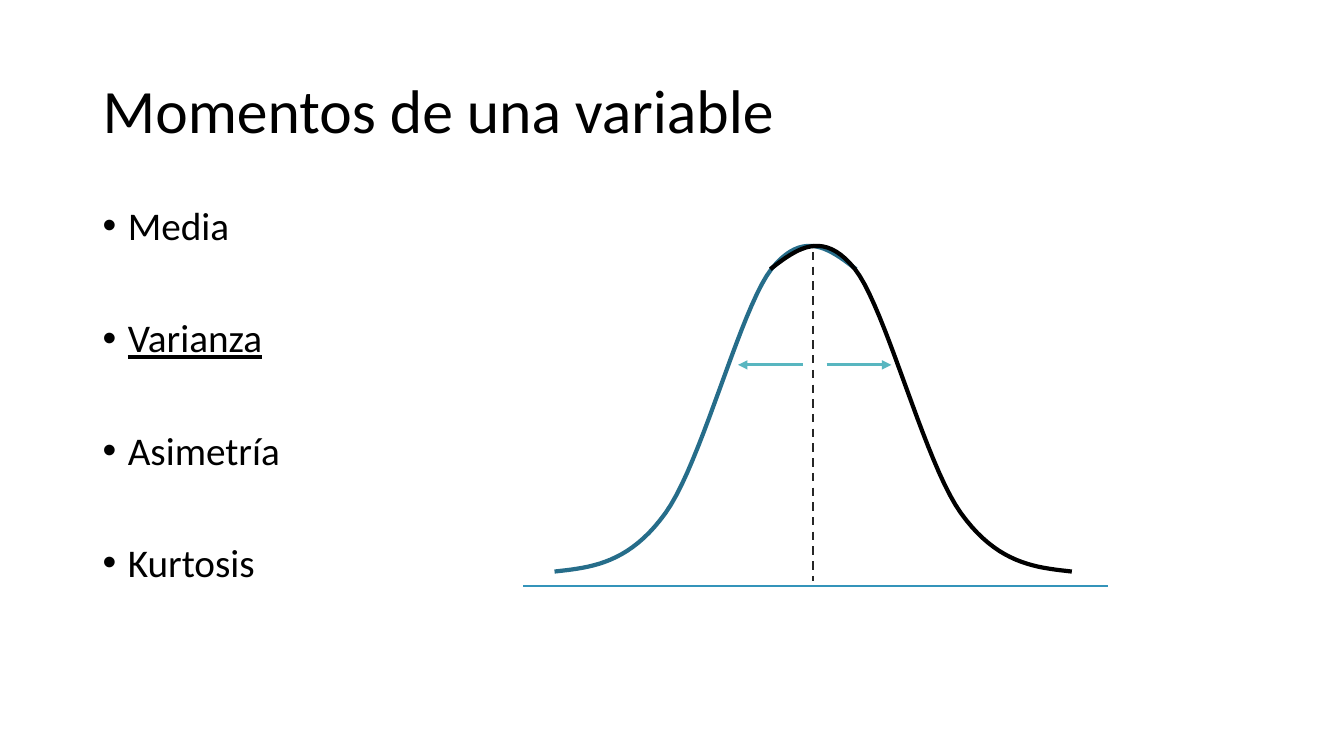
from lxml import etree
from pptx import Presentation, util as u
from pptx.dml.color import RGBColor
from pptx.enum import dml, shapes, text
from pptx.oxml.ns import qn

WIDTH, HEIGHT = 13.33, 7.5
FONT = "Calibri"
COLORS = {"text": "000000", "left": "266D8A", "right": "000000",
          "axis": "3494BA", "mean": "262626", "spread": "58B6C0"}

TITLE = "Momentos de una variable"
MOMENTS = ["Media", "Varianza", "Asimetría", "Kurtosis"]
CURRENT = "Varianza"

MARGIN, TEXT_WIDTH = 0.92, 11.5
TITLE_TOP, TITLE_HEIGHT = 0.4, 1.45
BODY_TOP, BODY_HEIGHT = 2, 4.76

# Left half of the bell: a start point, then cubic segments
BELL_START = (5.5, 5.67)
BELL_SEGMENTS = [
    [(5.87, 5.63), (6.24, 5.59), (6.6, 5.09)],
    [(6.96, 4.59), (7.34, 3.07), (7.65, 2.67)],
    [(7.97, 2.27), (8.23, 2.47), (8.49, 2.67)],
]
STEPS = 20
CENTER = 8.06
AXIS_Y, AXIS_LEFT, AXIS_RIGHT = 5.81, 5.19, 10.99
MEAN_TOP, MEAN_BOTTOM = 2.5, 5.76
ARROW_Y, ARROW_LENGTH = 3.62, 0.64
ARROW_STARTS = [(8.2, 1), (7.96, -1)]


def color(name):
    return RGBColor.from_string(COLORS[name])


def add_text(slide, top, height, lines, size, anchor):
    box = slide.shapes.add_textbox(*map(u.Inches, (MARGIN, top, TEXT_WIDTH, height)))
    frame = box.text_frame
    frame.word_wrap = True
    frame.vertical_anchor = anchor
    frame.text = "\n".join(lines)
    for paragraph in frame.paragraphs:
        paragraph.line_spacing = 0.9
        for run in paragraph.runs:
            run.font.name, run.font.size = FONT, u.Pt(size)
            run.font.color.rgb = color("text")
    return frame


def add_bullet(paragraph):
    properties = paragraph._p.get_or_add_pPr()
    properties.set("marL", str(u.Inches(0.25)))
    properties.set("indent", str(-u.Inches(0.25)))
    etree.SubElement(properties, qn("a:buFont")).set("typeface", "Arial")
    etree.SubElement(properties, qn("a:buChar")).set("char", "•")


def bell_points():
    """Sample the cubic segments of the left half of the bell."""
    points = [BELL_START]
    for segment in BELL_SEGMENTS:
        controls = [points[-1], *segment]
        for step in range(1, STEPS + 1):
            t = step / STEPS
            weights = ((1 - t) ** 3, 3 * t * (1 - t) ** 2, 3 * t * t * (1 - t), t ** 3)
            points.append(tuple(sum(w * c[axis] for w, c in zip(weights, controls))
                                for axis in (0, 1)))
    return points


def add_curve(slide, points, name):
    start, *others = [(u.Inches(x), u.Inches(y)) for x, y in points]
    builder = slide.shapes.build_freeform(*start, scale=1.0)
    builder.add_line_segments(others, close=False)
    shape = builder.convert_to_shape()
    shape.shadow.inherit = False
    shape.fill.background()
    shape.line.color.rgb = color(name)
    shape.line.width = u.Pt(3)


def add_line(slide, start, end, name, width, dash=None, arrow=False):
    line = slide.shapes.add_connector(shapes.MSO_CONNECTOR.STRAIGHT,
                                      *map(u.Inches, (*start, *end)))
    line.line.color.rgb = color(name)
    line.line.width = u.Pt(width)
    if dash:
        line.line.dash_style = dash
    if arrow:
        etree.SubElement(line.line._get_or_add_ln(), qn("a:tailEnd")).set("type", "triangle")
    etree.SubElement(line._element.spPr, qn("a:effectLst"))


def main():
    presentation = Presentation()
    presentation.slide_width = u.Inches(WIDTH)
    presentation.slide_height = u.Inches(HEIGHT)
    slide = presentation.slides.add_slide(presentation.slide_layouts[6])

    add_text(slide, TITLE_TOP, TITLE_HEIGHT, [TITLE], 44, text.MSO_ANCHOR.MIDDLE)
    body = add_text(slide, BODY_TOP, BODY_HEIGHT, MOMENTS, 28, text.MSO_ANCHOR.TOP)
    for index, paragraph in enumerate(body.paragraphs):
        paragraph.alignment = text.PP_ALIGN.JUSTIFY
        paragraph.space_before = u.Pt(50 if index else 0)
        add_bullet(paragraph)
        if paragraph.text == CURRENT:
            paragraph.runs[0].font.underline = True

    left_half = bell_points()
    right_half = [(2 * CENTER + 0.01 - x, y) for x, y in left_half]
    add_curve(slide, left_half, "left")
    add_curve(slide, right_half, "right")

    add_line(slide, (AXIS_LEFT, AXIS_Y), (AXIS_RIGHT, AXIS_Y), "axis", 1.5)
    add_line(slide, (CENTER, MEAN_TOP), (CENTER, MEAN_BOTTOM), "mean", 1.5,
             dash=dml.MSO_LINE.DASH)
    for x, direction in ARROW_STARTS:
        add_line(slide, (x, ARROW_Y), (x + direction * ARROW_LENGTH, ARROW_Y),
                 "spread", 2.25, arrow=True)

    presentation.save("out.pptx")


if __name__ == "__main__":
    main()
